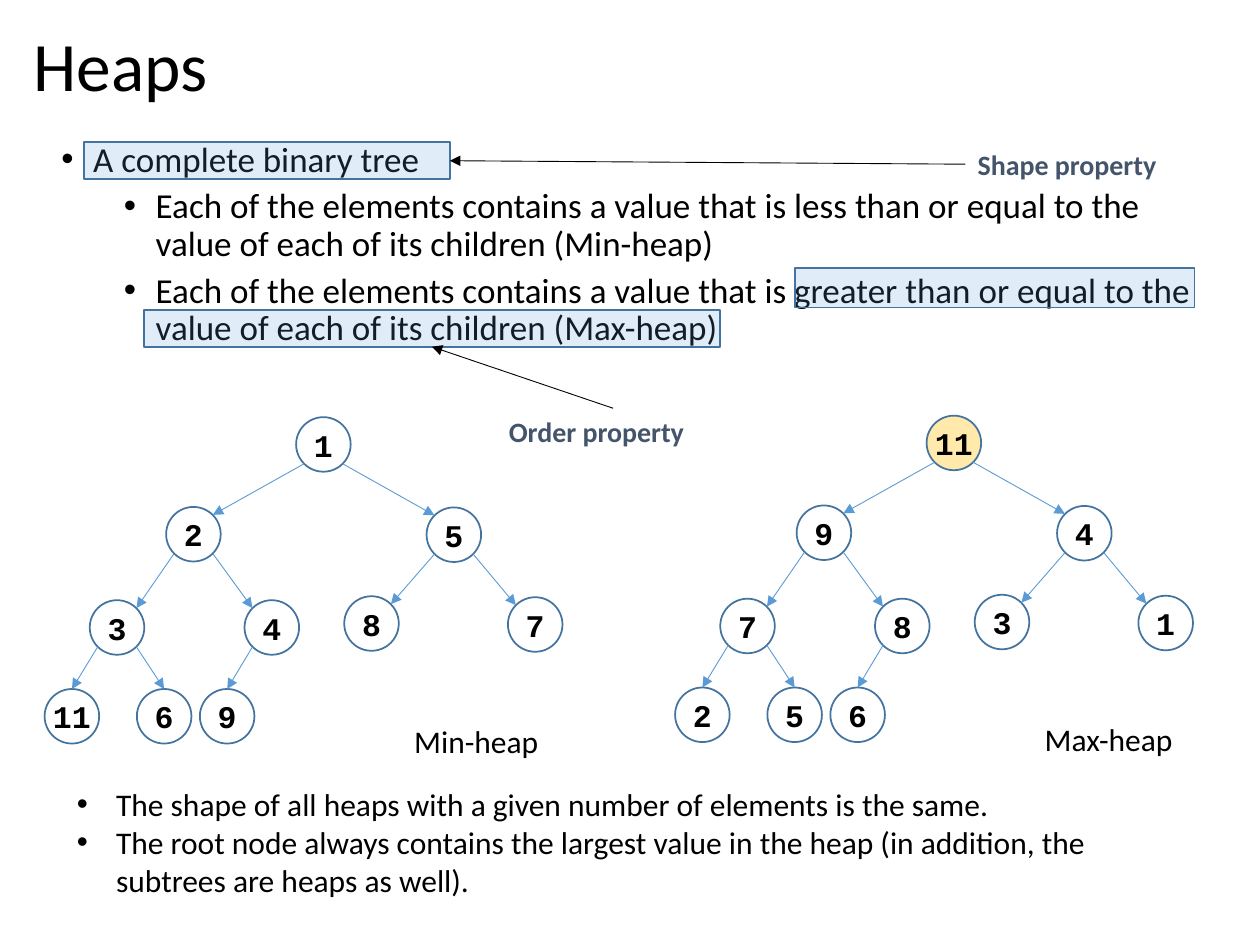
import pptx
import pptx.util
import pptx.dml.color
import pptx.enum.shapes
import pptx.enum.text
import pptx.oxml
import pptx.oxml.ns
import lxml.etree

Cm, Pt = pptx.util.Cm, pptx.util.Pt
hue = pptx.dml.color.RGBColor.from_string
qn = pptx.oxml.ns.qn
Shape = pptx.enum.shapes.MSO_SHAPE
Anchor = pptx.enum.text.MSO_ANCHOR
Align = pptx.enum.text.PP_ALIGN

deck = pptx.Presentation()
deck.slide_width, deck.slide_height = Cm(25.4), Cm(19.05)
slide = deck.slides.add_slide(deck.slide_layouts[6])


def draw(kind, box, fill=None, alpha=100):
    """Add an outlined shape with a clear or see-through fill."""
    shape = slide.shapes.add_shape(kind, *map(Cm, box))
    shape.shadow.inherit = False
    shape.line.color.rgb = hue("43739E")
    shape.line.width = Pt(1)
    if fill:
        shape.fill.solid()
        shape.fill.fore_color.rgb = hue(fill)
        tint = shape.fill._xPr.find(".//" + qn("a:srgbClr"))
        lxml.etree.SubElement(tint, qn("a:alpha"), val=str(alpha * 1000))
    else:
        shape.fill.background()
    return shape


def arrow(start, end, color):
    """Add a thin straight line with an arrowhead at its end."""
    line = slide.shapes.add_connector(
        pptx.enum.shapes.MSO_CONNECTOR.STRAIGHT, *map(Cm, start + end))
    line.line.color.rgb = hue(color)
    line.line.width = Pt(0.5)
    ln = line.line._get_or_add_ln()
    lxml.etree.SubElement(ln, qn("a:tailEnd"), type="triangle")
    lxml.etree.SubElement(line._element.spPr, qn("a:effectLst"))
    return line


# Text: box, size, colour, bold, anchor, line spacing,
# then paragraphs as (words, level, left margin, hang, space before)
dark, slate = "000000", "44546A"
texts = {
    "title": ((0.43, 0.46, 24.43, 1.88), 39.6, dark, False, Anchor.MIDDLE, 0.9,
              [("Heaps", 0, 0, 0, 0)]),
    "body": ((0.99, 2.74, 23.88, 4.93), 20, dark, False, Anchor.TOP, 0.9, [
        ("A complete binary tree", 0, 0.64, 0.64, 10),
        ("Each of the elements contains a value that is less than or equal "
         "to the value of each of its children (Min-heap)", 1, 1.9, 0.64, 5),
        ("Each of the elements contains a value that is greater than or equal "
         "to the value of each of its children (Max-heap)", 1, 1.9, 0.64, 5)]),
    "shape": ((19.46, 2.84, 5.44, 0.94), 16, slate, True, Anchor.TOP, 1,
              [("Shape property", 0, 0, 0, 0)]),
    "order": ((10.01, 8.23, 4.7, 0.94), 16, slate, True, Anchor.TOP, 1,
              [("Order property", 0, 0, 0, 0)]),
    "min": ((8.1, 14.43, 3.71, 1.02), 18, dark, False, Anchor.TOP, 1,
            [("Min-heap", 0, 0, 0, 0)]),
    "max": ((20.81, 14.4, 3.71, 1.02), 18, dark, False, Anchor.TOP, 1,
            [("Max-heap", 0, 0, 0, 0)]),
    "notes": ((1.3, 15.7, 22.76, 2.57), 18, dark, False, Anchor.TOP, 1, [
        ("The shape of all heaps with a given number of elements is the same.",
         0, 0.79, 0.79, 0),
        ("The root node always contains the largest value in the heap "
         "(in addition, the subtrees are heaps as well).", 0, 0.79, 0.79, 0)]),
}
boxes = {}
for name, (box, size, color, bold, anchor, space, paras) in texts.items():
    boxes[name] = slide.shapes.add_textbox(*map(Cm, box))
    frame = boxes[name].text_frame
    frame.word_wrap = True
    frame.vertical_anchor = anchor
    for i, (words, level, left, hang, before) in enumerate(paras):
        para = frame.add_paragraph() if i else frame.paragraphs[0]
        para.text = words
        para.level = level
        para.line_spacing = space
        para.space_before = Pt(before)
        para.font.name = "Calibri"
        para.font.size = Pt(size)
        para.font.bold = bold
        para.font.color.rgb = hue(color)
        if hang:
            props = para._p.get_or_add_pPr()
            props.set("marL", str(Cm(left)))
            props.set("indent", str(-Cm(hang)))
            mark = lxml.etree.Element(qn("a:buFont"), typeface="Arial")
            dot = lxml.etree.Element(qn("a:buChar"), char="•")
            props.find(qn("a:defRPr")).addprevious(mark)
            mark.addnext(dot)

# Heap trees: node i hangs under node (i - 1) // 2
width = 1.1
half = width / 2
slant = half * 0.71
spots = [(5.97, 8.41), (3.35, 10.22), (8.6, 10.23), (1.81, 12.1),
         (4.93, 12.1), (6.94, 12.02), (10.24, 12.04), (0.9, 13.89),
         (2.76, 13.89), (4.03, 13.89)]
trees = [
    (0, 0, [1, 2, 5, 3, 4, 8, 7, 11, 6, 9], None),
    (12.71, -0.03, [11, 9, 4, 7, 8, 3, 1, 2, 5, 6], "FFC000"),
]
for right, down, values, root in trees:
    mids = [(x + right + half, y + down + half) for x, y in spots]
    for i, (value, (x, y)) in enumerate(zip(values, mids)):
        fill = None if i else root
        node = draw(Shape.OVAL, (x - half, y - half, width, width), fill, 33)
        frame = node.text_frame
        frame.margin_left = frame.margin_right = 0
        frame.margin_top = frame.margin_bottom = 0
        frame.word_wrap = False
        frame.vertical_anchor = Anchor.MIDDLE
        para = frame.paragraphs[0]
        para.text = str(value)
        para.alignment = Align.CENTER
        para.font.name = "Courier New"
        para.font.size = Pt(18)
        para.font.bold = True
        para.font.color.rgb = hue(dark)
        if i:
            px, py = mids[(i - 1) // 2]
            side = slant if i % 2 == 0 else -slant
            # The lowest row is met at the top, the others at a corner
            end = (x, y - half) if i > 6 else (x - side, y - slant)
            arrow((px + side, py + slant), end, "5B9BD5")

# Highlights over the body text
marks = [draw(Shape.RECTANGLE, box, "5B9BD5", 19) for box in (
    (1.7, 2.87, 7.37, 0.74), (16.03, 5.41, 8.05, 0.79),
    (2.9, 6.25, 11.61, 0.74))]

# Arrows from the property labels to the highlights
for name, out, mark, into in (("shape", 1, marks[0], 3),
                              ("order", 0, marks[2], 2)):
    line = arrow((0, 0), (1, 1), dark)
    line.begin_connect(boxes[name], out)
    line.end_connect(mark, into)

deck.save("out.pptx")
